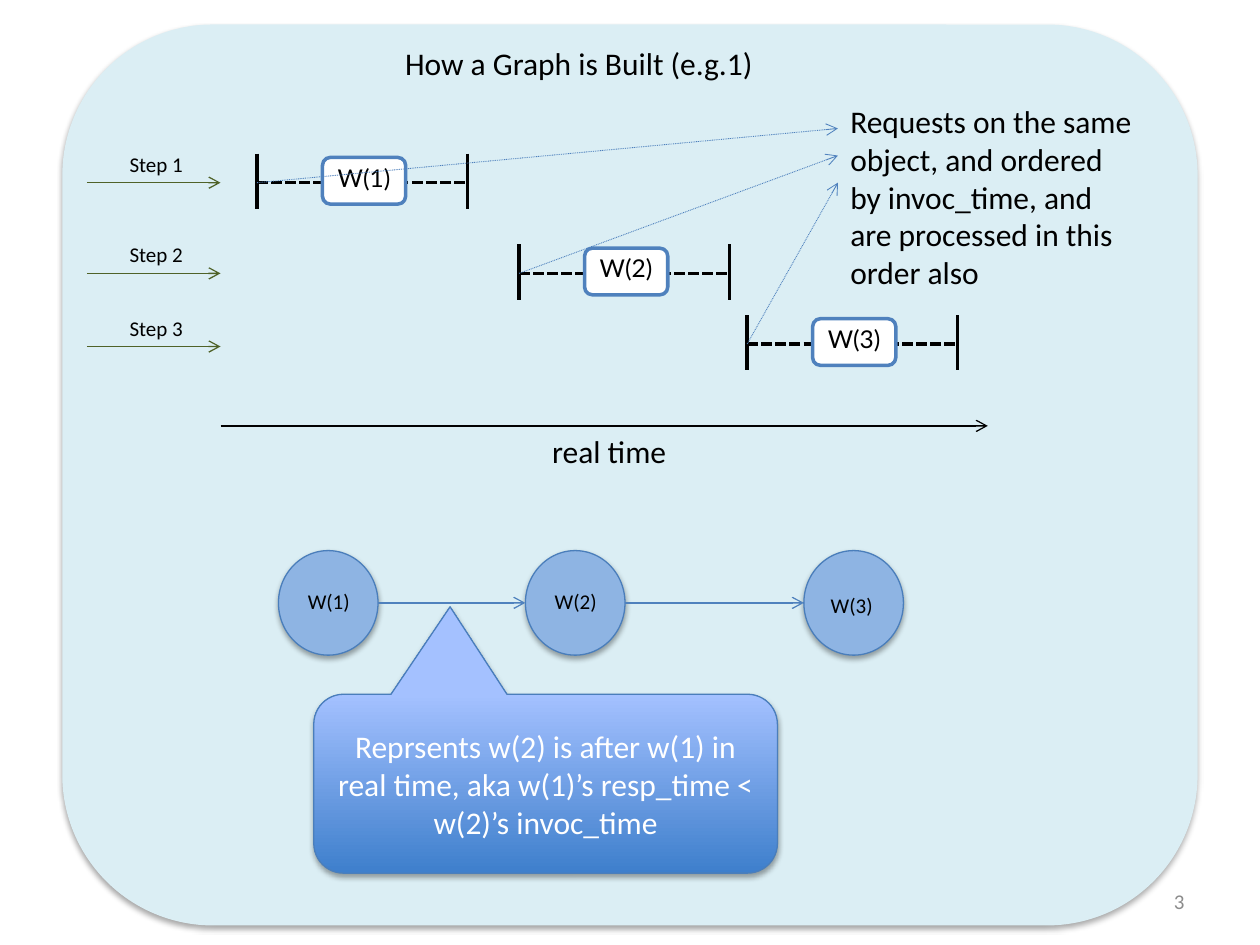
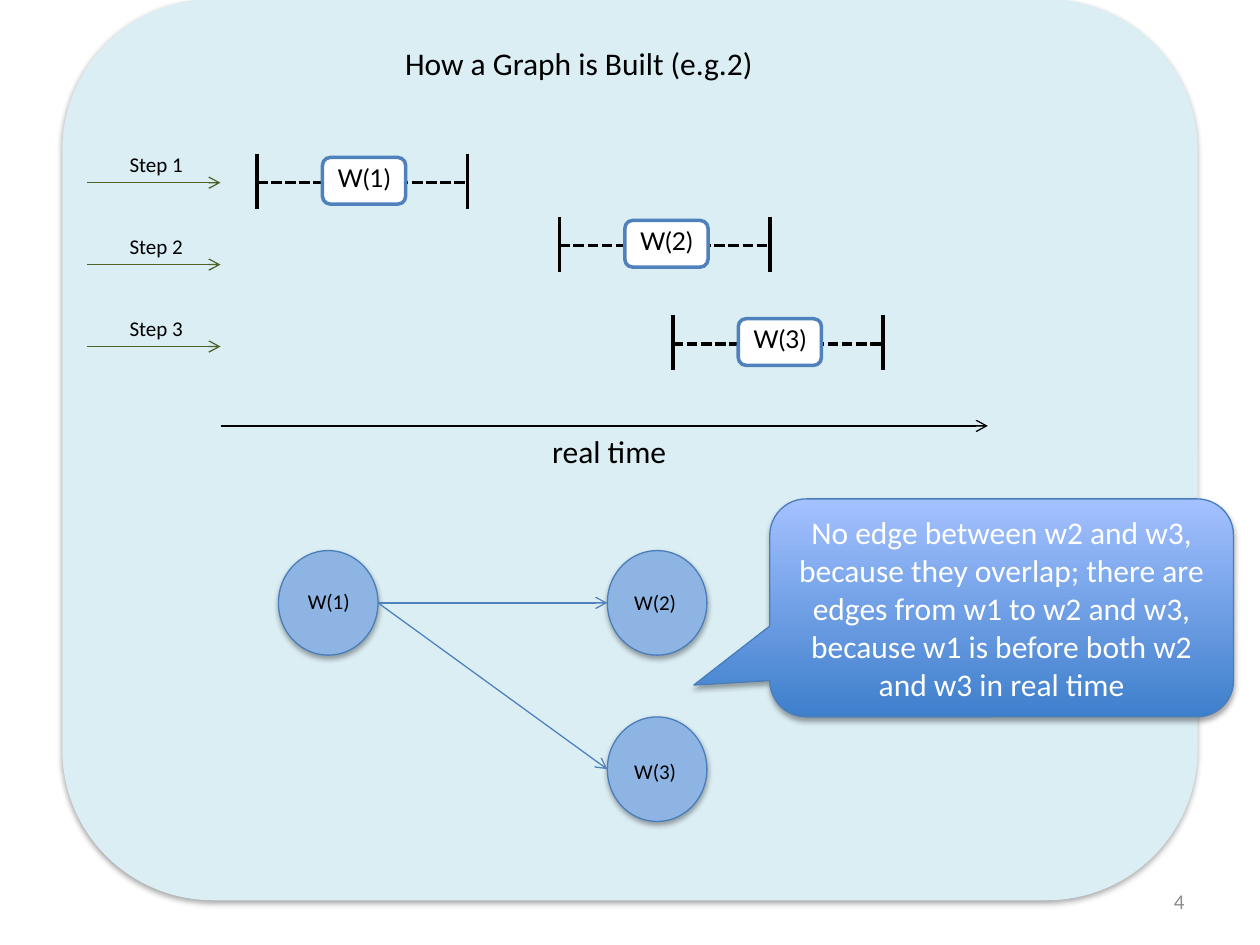
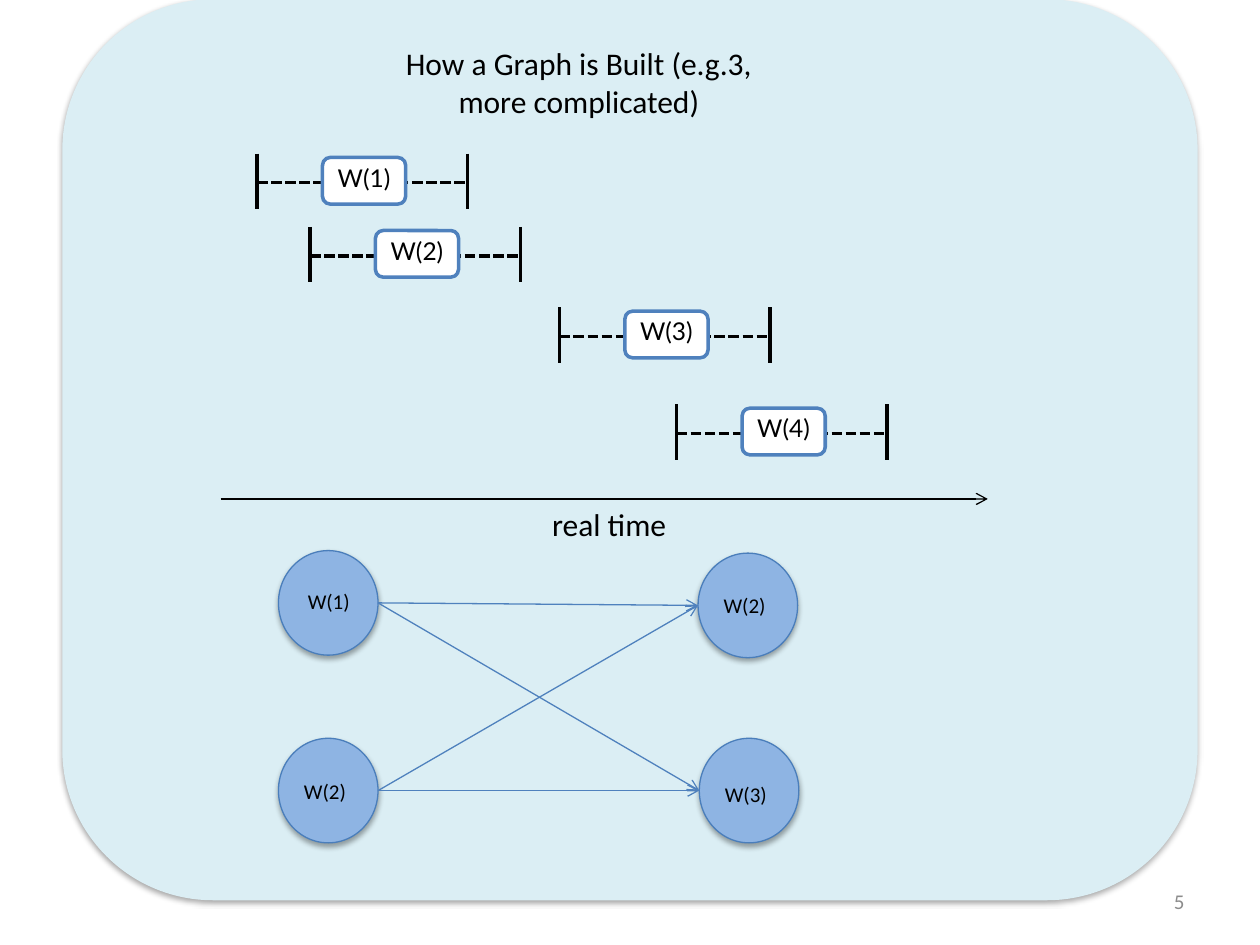
from dataclasses import dataclass

import pptx
import pptx.dml.color
import pptx.enum.dml
import pptx.enum.shapes
import pptx.enum.text
import pptx.oxml
import pptx.oxml.ns
import pptx.util
from pptx.util import Inches

SHAPE = pptx.enum.shapes.MSO_SHAPE
ALIGN = pptx.enum.text.PP_ALIGN
ANCHOR = pptx.enum.text.MSO_ANCHOR
DASH = pptx.enum.dml.MSO_LINE

BLACK, WHITE, GREY = "000000", "FFFFFF", "8C8C8C"
PANEL, NODE_FILL, OUTLINE = "DBEEF4", "8EB4E3", "4A7EBB"
ACCENT, GREEN = "4F81BD", "4F6228"
CALLOUT_BOTTOM, CALLOUT_TOP = "3E7FCC", "A4C1FF"

INTERVAL_W = 1.67
NODE_W, NODE_H = 0.79, 0.83
STEP_LEFT, AXIS_LEFT, AXIS_RIGHT = 0.69, 1.75, 7.84


@dataclass
class Interval:
    label: str
    x: float
    y: float


@dataclass
class Node:
    label: str
    x: float
    y: float
    label_dx: float = 0.08
    label_dy: float = 0.28


@dataclass
class Callout:
    text: str
    x: float
    y: float
    h: float
    tip: tuple[float, float]


@dataclass
class Example:
    number: int
    title: str
    panel_top: float
    axis_y: float
    intervals: list[Interval]
    step_ys: list[float]
    nodes: list[Node]
    edges: list[tuple[int, int]]
    callout: Callout | None = None
    note: str = ""


EXAMPLES = [
    Example(
        3, "How a Graph is Built (e.g.1)", 0.2, 3.38,
        [Interval("W(1)", 2.04, 1.45), Interval("W(2)", 4.12, 2.17),
         Interval("W(3)", 5.93, 2.73)],
        [1.45, 2.17, 2.75],
        [Node("W(1)", 2.21, 4.37, 0.1, 0.25), Node("W(2)", 4.17, 4.37, 0.1, 0.25),
         Node("W(3)", 6.38, 4.37)],
        [(0, 1), (1, 2)],
        Callout("Reprsents w(2) is after w(1) in real time, aka w(1)’s resp_time < "
                "w(2)’s invoc_time", 2.49, 5.51, 1.42, (-0.206, -0.989)),
        "Requests on the same object, and ordered by invoc_time, and are processed "
        "in this order also"),
    Example(
        4, "How a Graph is Built (e.g.2)", 0, 3.38,
        [Interval("W(1)", 2.04, 1.45), Interval("W(2)", 4.44, 1.95),
         Interval("W(3)", 5.34, 2.73)],
        [1.45, 2.1, 2.75],
        [Node("W(1)", 2.21, 4.37, 0.1, 0.25), Node("W(2)", 4.82, 4.37, 0.08, 0.26),
         Node("W(3)", 4.82, 5.69)],
        [(0, 1), (0, 2)],
        Callout("No edge between w2 and w3, because they overlap; there are edges "
                "from w1 to w2 and w3, because w1 is before both w2 and w3 in real "
                "time", 6.11, 3.96, 1.73, (-0.664, 0.354))),
    Example(
        5, "How a Graph is Built (e.g.3, more complicated)", 0, 3.96,
        [Interval("W(1)", 2.04, 1.45), Interval("W(2)", 2.46, 2.03),
         Interval("W(3)", 4.44, 2.67), Interval("W(4)", 5.37, 3.44)],
        [],
        [Node("W(1)", 2.21, 4.37, 0.1, 0.25), Node("W(2)", 5.54, 4.39, 0.07, 0.26),
         Node("W(2)", 2.21, 5.86, 0.07, 0.27), Node("W(3)", 5.55, 5.86, 0.07, 0.29)],
        [(0, 1), (0, 3), (2, 1), (2, 3)]),
]


def rgb(color: str):
    return pptx.dml.color.RGBColor.from_string(color)


def set_text(sp, text: str, size: float, color: str = BLACK, align=ALIGN.CENTER,
             anchor=ANCHOR.TOP, font: str = "Calibri"):
    tf = sp.text_frame
    tf.word_wrap = True
    tf.vertical_anchor = anchor
    tf.text = text
    p = tf.paragraphs[0]
    p.alignment = align
    f = p.runs[0].font
    f.name, f.size = font, pptx.util.Pt(size)
    f.color.rgb = rgb(color)
    return p


def add_text(s, text: str, x: float, y: float, w: float, h: float,
             size: float, **style):
    sp = s.shapes.add_textbox(Inches(x), Inches(y), Inches(w), Inches(h))
    set_text(sp, text, size, **style)


def add_shape(s, kind, x: float, y: float, w: float, h: float, fill: str,
              line: str, width: float = 0.75, shadow: bool = True):
    sp = s.shapes.add_shape(kind, Inches(x), Inches(y), Inches(w), Inches(h))
    sp.fill.solid()
    sp.fill.fore_color.rgb = rgb(fill)
    sp.line.color.rgb = rgb(line)
    sp.line.width = pptx.util.Pt(width)
    sp.shadow.inherit = False
    if shadow:
        effects = sp._element.spPr.find(pptx.oxml.ns.qn("a:effectLst"))
        effects.append(pptx.oxml.parse_xml(
            f'<a:outerShdw {pptx.oxml.ns.nsdecls("a")} blurRad="40000" dist="23000" '
            'dir="5400000" rotWithShape="0"><a:srgbClr val="000000">'
            '<a:alpha val="35000"/></a:srgbClr></a:outerShdw>'))
    return sp


def add_line(s, x1: float, y1: float, x2: float, y2: float, color: str = BLACK,
             width: float = 0.75, dash=None, arrow: bool = True):
    cx = s.shapes.add_connector(pptx.enum.shapes.MSO_CONNECTOR.STRAIGHT,
                                Inches(x1), Inches(y1), Inches(x2), Inches(y2))
    cx.line.color.rgb = rgb(color)
    cx.line.width = pptx.util.Pt(width)
    if dash is not None:
        cx.line.dash_style = dash
    ns = pptx.oxml.ns.nsdecls("a")
    if arrow:
        cx.line._get_or_add_ln().append(
            pptx.oxml.parse_xml(f'<a:tailEnd {ns} type="arrow"/>'))
    cx._element.spPr.append(pptx.oxml.parse_xml(f"<a:effectLst {ns}/>"))


def add_interval(s, iv: Interval):
    """Dashed span with a tick at each end and a label box over it."""
    end = iv.x + INTERVAL_W
    add_line(s, iv.x, iv.y, end, iv.y, width=2, dash=DASH.SQUARE_DOT, arrow=False)
    for x in (iv.x, end):
        add_line(s, x, iv.y - 0.23, x, iv.y + 0.21, width=2, arrow=False)
    sp = add_shape(s, SHAPE.ROUNDED_RECTANGLE, iv.x + 0.52, iv.y - 0.2, 0.66, 0.37,
                   WHITE, ACCENT, 2, shadow=False)
    set_text(sp, iv.label, 14, font="Lato").line_spacing = 0.9


def add_step(s, number: int, y: float):
    add_line(s, STEP_LEFT, y, AXIS_LEFT, y, GREEN)
    add_text(s, f"Step {number}", 0.93, y - 0.34, 0.71, 0.34, 12,
             align=ALIGN.LEFT, anchor=ANCHOR.BOTTOM)


def add_node(s, node: Node):
    add_shape(s, SHAPE.OVAL, node.x, node.y, NODE_W, NODE_H, NODE_FILL, OUTLINE)
    add_text(s, node.label, node.x + node.label_dx, node.y + node.label_dy,
             0.6, 0.3, 12)


def add_edge(s, start: Node, end: Node):
    add_line(s, start.x + NODE_W, start.y + NODE_H / 2,
             end.x, end.y + NODE_H / 2, ACCENT)


def add_note(s, text: str, intervals: list[Interval]):
    """Note at the right, with a dotted arrow from the start of each interval."""
    for i, iv in enumerate(intervals):
        add_line(s, iv.x, iv.y, 6.65, 1.02 + 0.215 * i, ACCENT, 0.5, DASH.ROUND_DOT)
    add_text(s, text, 6.65, 0.76, 2.46, 1.62, 18, align=ALIGN.LEFT)


def add_callout(s, callout: Callout):
    sp = add_shape(s, SHAPE.ROUNDED_RECTANGULAR_CALLOUT, callout.x, callout.y,
                   3.68, callout.h, CALLOUT_BOTTOM, OUTLINE)
    sp.adjustments[0], sp.adjustments[1] = callout.tip
    sp.fill.gradient()
    sp.fill.gradient_angle = 90
    for stop, color in zip(sp.fill.gradient_stops, (CALLOUT_BOTTOM, CALLOUT_TOP)):
        stop.color.rgb = rgb(color)
    set_text(sp, callout.text, 18, WHITE, anchor=ANCHOR.MIDDLE)


def add_example(prs, ex: Example):
    s = prs.slides.add_slide(prs.slide_layouts[6])
    add_shape(s, SHAPE.ROUNDED_RECTANGLE, 0.5, ex.panel_top, 9, 7.14, PANEL, PANEL)
    add_text(s, ex.title, 2.86, 0.3, 3.47, 0.4, 18)
    add_line(s, AXIS_LEFT, ex.axis_y, AXIS_RIGHT, ex.axis_y)
    add_text(s, "real time", 3.95, ex.axis_y, 1.77, 0.4, 18)
    for iv in ex.intervals:
        add_interval(s, iv)
    if ex.note:
        add_note(s, ex.note, ex.intervals)
    for number, y in enumerate(ex.step_ys, 1):
        add_step(s, number, y)
    for node in ex.nodes:
        add_node(s, node)
    for start, end in ex.edges:
        add_edge(s, ex.nodes[start], ex.nodes[end])
    if ex.callout:
        add_callout(s, ex.callout)
    add_text(s, str(ex.number), 7.17, 6.95, 2.33, 0.4, 12, color=GREY,
             align=ALIGN.RIGHT, anchor=ANCHOR.MIDDLE)


def main():
    prs = pptx.Presentation()
    prs.slide_width, prs.slide_height = Inches(10), Inches(7.5)
    for ex in EXAMPLES:
        add_example(prs, ex)
    prs.save("out.pptx")


if __name__ == "__main__":
    main()
